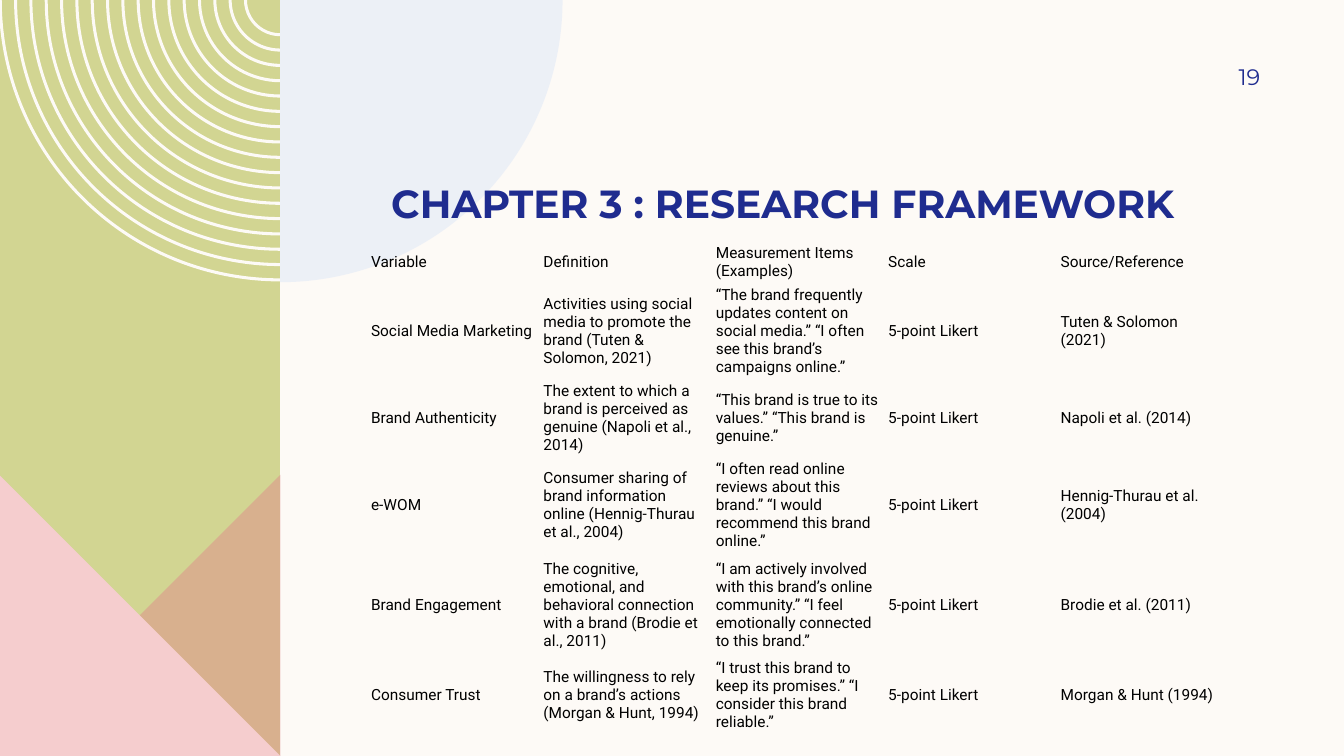
from lxml import etree
from pptx import Presentation
from pptx.dml.color import RGBColor
from pptx.enum.text import MSO_ANCHOR, MSO_AUTO_SIZE, PP_ALIGN
from pptx.oxml.ns import qn
from pptx.util import Inches, Pt

# Content
TITLE = "CHAPTER 3 : RESEARCH FRAMEWORK"
PAGE_NUMBER = "19"
SCALE = "5-point Likert"
MEASURES = [
    ("Variable", "Definition", "Measurement Items (Examples)", "Scale", "Source/Reference"),
    ("Social Media Marketing",
     "Activities using social media to promote the brand (Tuten & Solomon, 2021)",
     "“The brand frequently updates content on social media.” “I often see this brand’s campaigns online.”",
     SCALE, "Tuten & Solomon (2021)"),
    ("Brand Authenticity",
     "The extent to which a brand is perceived as genuine (Napoli et al., 2014)",
     "“This brand is true to its values.” “This brand is genuine.”",
     SCALE, "Napoli et al. (2014)"),
    ("e-WOM",
     "Consumer sharing of brand information online (Hennig-Thurau et al., 2004)",
     "“I often read online reviews about this brand.” “I would recommend this brand online.”",
     SCALE, "Hennig-Thurau et al. (2004)"),
    ("Brand Engagement",
     "The cognitive, emotional, and behavioral connection with a brand (Brodie et al., 2011)",
     "“I am actively involved with this brand’s online community.” “I feel emotionally connected to this brand.”",
     SCALE, "Brodie et al. (2011)"),
    ("Consumer Trust",
     "The willingness to rely on a brand’s actions (Morgan & Hunt, 1994)",
     "“I trust this brand to keep its promises.” “I consider this brand reliable.”",
     SCALE, "Morgan & Hunt (1994)"),
]
ROW_HEIGHTS = (0.33, 0.88, 0.6, 0.74, 1.02, 0.74)
COLUMN_WIDTH = 1.71

# Theme
THEME = {
    "cream": "FDFAF6", "green": "D2D592", "rose": "DE8C8C", "pink": "F5CDCE", "sky": "DDE7F6",
    "title": {"name": "Montserrat", "size": Pt(28), "bold": True, "color": "1F2C8F"},
    "number": {"name": "Montserrat", "size": Pt(16), "bold": False, "color": "1F2C8F"},
    "cell": {"name": "Roboto", "size": Pt(11), "bold": False, "color": "000000"},
}
NO_GRID_STYLE = "{2D5ABB26-0587-4C30-8999-92F81FD0307C}"
LEFT, RIGHT, BOTTOM = -0.01, 2.78, 7.5
TRIANGLE_TOP = 4.71
RING_COUNT, RING_STEP, RING_WIDTH, INNER_RADIUS = 17, 0.152, 0.03, 0.36
CIRCLE_RADIUS = 2.8
MIDDLE, BASE = MSO_ANCHOR.MIDDLE, MSO_ANCHOR.BOTTOM


def add_outline(shapes, contours, color, opacity=100):
    """Draw contours of (x, y) points; a third item (radius, start, sweep) rounds the way there."""
    builder = None
    bends = []
    for contour in contours:
        points = [(Inches(point[0]), Inches(point[1])) for point in contour]
        if builder is None:
            builder = shapes.build_freeform(*points[0])
        else:
            builder.move_to(*points[0])
        builder.add_line_segments(points[1:])
        bends += [point[2:] for point in contour[1:]]
    outline = builder.convert_to_shape()
    outline.shadow.inherit = False
    outline.line.fill.background()
    outline.fill.solid()
    outline.fill.fore_color.rgb = RGBColor.from_string(color)
    # Quarter arcs in place of straight segments
    segments = list(outline._element.iter(qn("a:lnTo")))
    for segment, bend in zip(segments, bends):
        if bend:
            radius, start, sweep = bend[0]
            size = str(int(Inches(radius)))
            curve = etree.Element(qn("a:arcTo"), wR=size, hR=size,
                                  stAng=str(start * 60000), swAng=str(sweep * 60000))
            segment.getparent().replace(segment, curve)
    if opacity < 100:
        tint = outline._element.spPr.find(qn("a:solidFill")).find(qn("a:srgbClr"))
        etree.SubElement(tint, qn("a:alpha"), val=str(opacity * 1000))


def write(frame, text, style, align=PP_ALIGN.LEFT):
    paragraph = frame.paragraphs[0]
    paragraph.alignment = align
    run = paragraph.add_run()
    run.text = text
    for key, value in THEME[style].items():
        if key == "color":
            run.font.color.rgb = RGBColor.from_string(value)
        else:
            setattr(run.font, key, value)


def set_format(target, values):
    for key, value in values.items():
        setattr(target, key, value)


def add_decoration(shapes):
    panel = [(LEFT, 0), (RIGHT, 0), (RIGHT, BOTTOM), (LEFT, BOTTOM)]
    add_outline(shapes, [panel], THEME["green"])
    # Concentric quarter rings around the top right corner of the panel
    rings = []
    for i in range(RING_COUNT):
        outer = INNER_RADIUS + RING_STEP * i
        inner = outer - RING_WIDTH
        rings.append([(RIGHT - outer, 0), (RIGHT, outer, (outer, 180, -90)),
                      (RIGHT, inner), (RIGHT - inner, 0, (inner, 90, 90))])
    add_outline(shapes, rings, THEME["cream"])
    # Triangles and pale quarter circle
    base = [(RIGHT, BOTTOM), (LEFT, BOTTOM)]
    add_outline(shapes, [[(RIGHT, TRIANGLE_TOP)] + base], THEME["rose"], 50)
    add_outline(shapes, [[(LEFT, TRIANGLE_TOP)] + base], THEME["pink"])
    quarter = [(RIGHT, 0), (RIGHT + CIRCLE_RADIUS, 0),
               (RIGHT, CIRCLE_RADIUS, (CIRCLE_RADIUS, 0, 90))]
    add_outline(shapes, [quarter], THEME["sky"], 50)


def add_measures(shapes):
    columns = len(MEASURES[0])
    frame = shapes.add_table(len(MEASURES), columns, Inches(3.64), Inches(2.4),
                             Inches(COLUMN_WIDTH * columns), Inches(sum(ROW_HEIGHTS)))
    table = frame.table
    set_format(table, {"first_row": False, "horz_banding": False})
    table._tbl.tblPr.find(qn("a:tableStyleId")).text = NO_GRID_STYLE
    for column in table.columns:
        column.width = Inches(COLUMN_WIDTH)
    cell_format = {"vertical_anchor": MIDDLE,
                   "margin_left": Inches(0.04), "margin_right": Inches(0.04),
                   "margin_top": Inches(0.02), "margin_bottom": Inches(0.02)}
    for row, height, texts in zip(table.rows, ROW_HEIGHTS, MEASURES):
        row.height = Inches(height)
        for cell, text in zip(row.cells, texts):
            set_format(cell, cell_format)
            cell.fill.background()
            write(cell.text_frame, text, "cell")


def main():
    deck = Presentation()
    set_format(deck, {"slide_width": Inches(13.33), "slide_height": Inches(7.5)})
    slide = deck.slides.add_slide(deck.slide_layouts[5])
    shapes = slide.shapes
    slide.background.fill.solid()
    slide.background.fill.fore_color.rgb = RGBColor.from_string(THEME["cream"])

    add_decoration(shapes)

    # Title, brought in front of the decoration
    title = shapes.title
    shapes._spTree.append(title._element)
    set_format(title, {"left": Inches(3.78), "top": Inches(1.16),
                       "width": Inches(8.71), "height": Inches(1.09)})
    set_format(title.text_frame, {"vertical_anchor": BASE, "auto_size": MSO_AUTO_SIZE.NONE,
                                  "margin_left": Inches(0.1), "margin_right": Inches(0.1),
                                  "margin_top": 0, "margin_bottom": 0})
    write(title.text_frame, TITLE, "title")

    # Page number
    number = shapes.add_textbox(Inches(11.33), Inches(0.5), Inches(1.17), Inches(0.52))
    set_format(number.text_frame, {"word_wrap": True, "vertical_anchor": MIDDLE,
                                   "margin_right": 0})
    write(number.text_frame, PAGE_NUMBER, "number", PP_ALIGN.RIGHT)

    add_measures(shapes)
    deck.save("out.pptx")


if __name__ == "__main__":
    main()
